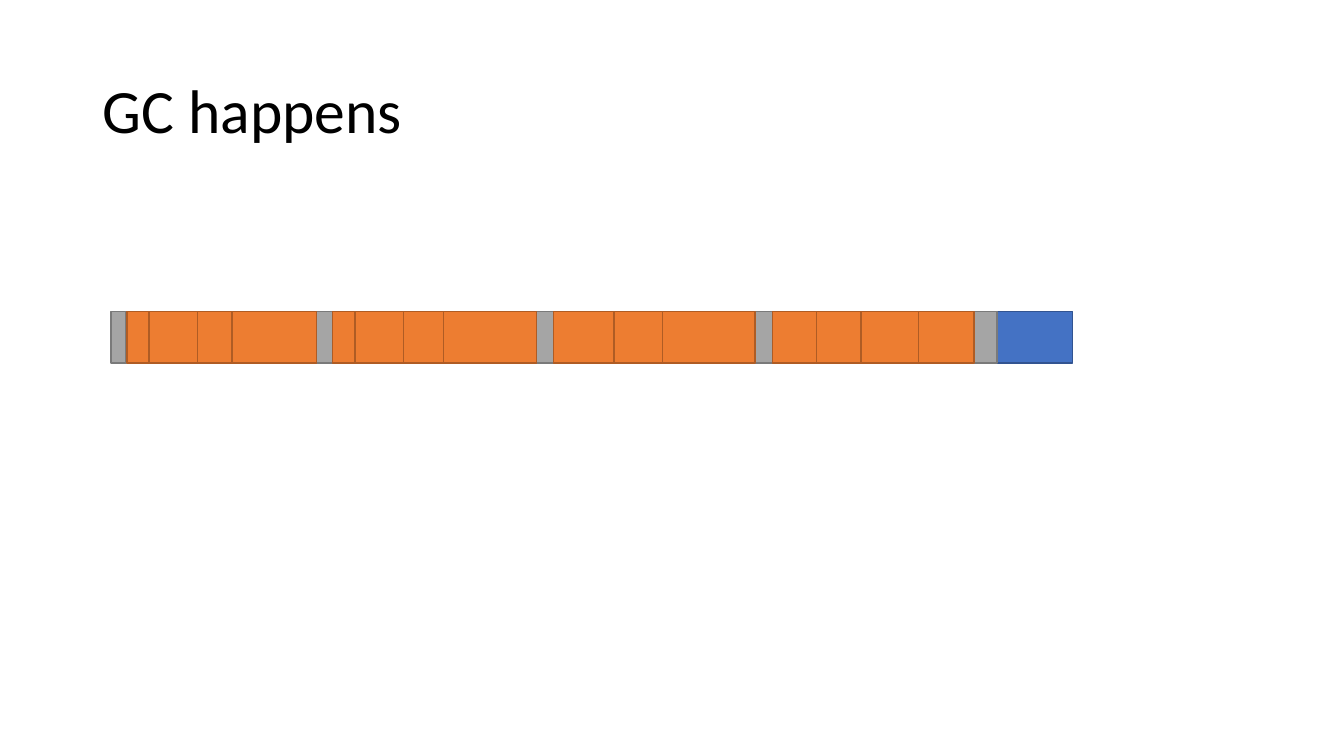
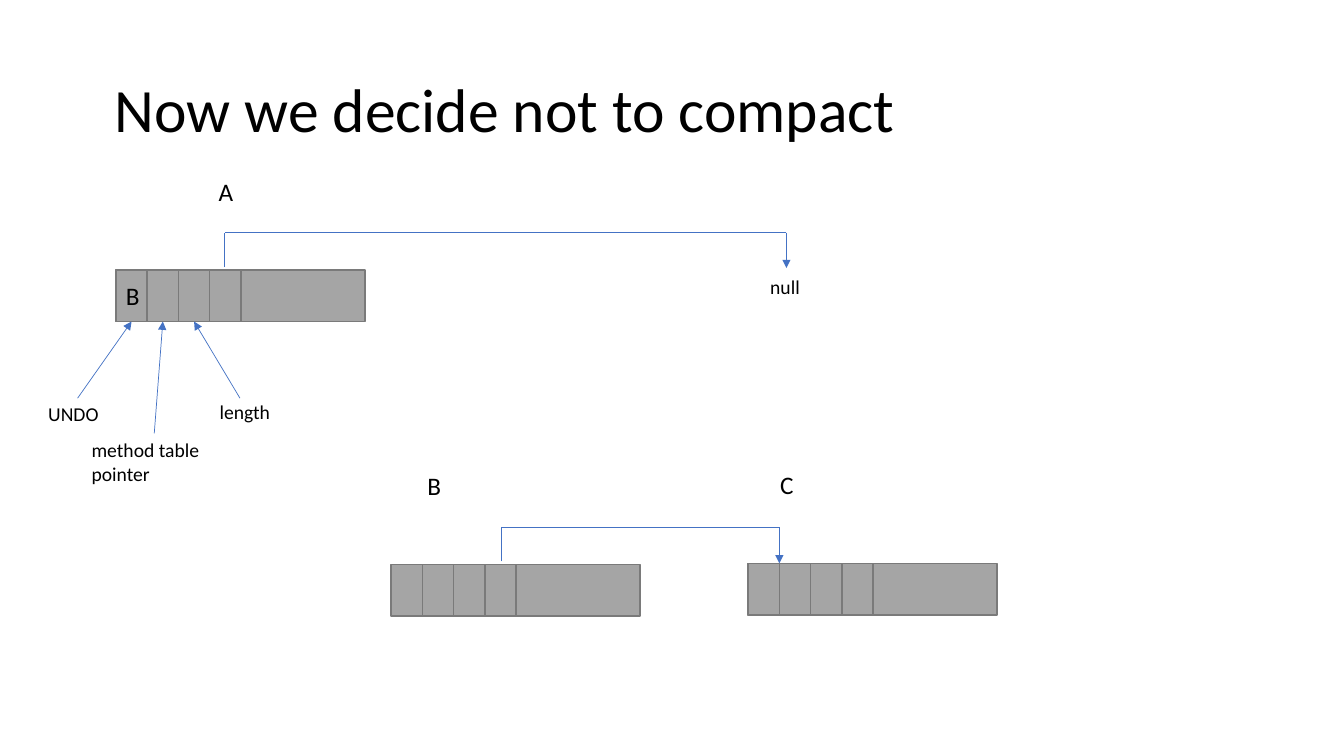
from lxml import etree
from pptx import Presentation
from pptx.dml.color import RGBColor
from pptx.enum.shapes import MSO_CONNECTOR, MSO_SHAPE
from pptx.enum.text import MSO_ANCHOR, MSO_AUTO_SIZE, PP_ALIGN
from pptx.oxml.ns import qn
from pptx.util import Inches, Pt

RECT = MSO_SHAPE.RECTANGLE
STRAIGHT = MSO_CONNECTOR.STRAIGHT
MIDDLE = MSO_ANCHOR.MIDDLE
FIXED = MSO_AUTO_SIZE.NONE
GROW = MSO_AUTO_SIZE.SHAPE_TO_FIT_TEXT
CENTER = PP_ALIGN.CENTER
BOTTOM = 2

COLORS = {
    "text": "000000",
    "blue": "4472C4", "blue_edge": "325491",
    "gray": "A5A5A5", "gray_edge": "7A7A7A",
    "orange": "ED7D31", "orange_edge": "AF5C24",
}
FONT = "Calibri"
BAR_H = 0.51
CELL_W = 0.31


def rgb(name):
    return RGBColor.from_string(COLORS[name])


class Deck:
    def __init__(self):
        self.prs = Presentation()
        self.prs.slide_width = Inches(13.33)
        self.prs.slide_height = Inches(7.5)
        self.s = None

    def slide(self, title, x, y):
        self.s = self.prs.slides.add_slide(self.prs.slide_layouts[6])
        tf = self.text(title, x, y, 11.5, 1.45, 44).text_frame
        tf.auto_size = FIXED
        tf.vertical_anchor = MIDDLE
        tf.paragraphs[0].line_spacing = 0.9

    def set_text(self, tf, text, size):
        tf.text = text
        font = tf.paragraphs[0].runs[0].font
        font.name = FONT
        font.size = Pt(size)
        font.color.rgb = rgb("text")

    def text(self, text, x, y, w, h, size=14):
        sp = self.s.shapes.add_textbox(Inches(x), Inches(y), Inches(w), Inches(h))
        sp.text_frame.word_wrap = True
        sp.text_frame.auto_size = GROW
        self.set_text(sp.text_frame, text, size)
        return sp

    def rect(self, x, y, w, color, text=""):
        sp = self.s.shapes.add_shape(RECT, Inches(x), Inches(y), Inches(w), Inches(BAR_H))
        sp.shadow.inherit = False
        sp.fill.solid()
        sp.fill.fore_color.rgb = rgb(color)
        sp.line.color.rgb = rgb(color + "_edge")
        sp.line.width = Pt(1)
        if text:
            self.set_text(sp.text_frame, text, 18)
            sp.text_frame.vertical_anchor = MIDDLE
            sp.text_frame.paragraphs[0].alignment = CENTER
        return sp

    def line(self, x1, y1, x2, y2, arrow=False):
        cx = self.s.shapes.add_connector(STRAIGHT, Inches(x1), Inches(y1), Inches(x2), Inches(y2))
        cx.line.color.rgb = rgb("blue")
        cx.line.width = Pt(0.5)
        sp_pr = cx.element.spPr
        if arrow:
            etree.SubElement(sp_pr.find(qn("a:ln")), qn("a:tailEnd"), type="triangle")
        etree.SubElement(sp_pr, qn("a:effectLst"))
        return cx

    def route(self, x1, y1, x2, y2, top):
        self.line(x1, y1, x1, top)
        self.line(x2, top, x1, top)
        self.line(x2, top, x2, y2, arrow=True)

    def plug(self, x, y, widths):
        self.rect(x, y, 2.23, "gray")
        for w in widths:
            self.rect(x, y, w, "orange")
            x += w

    def record(self, x, y, first=""):
        self.rect(x, y, 2.47, "gray")
        return [self.rect(x + i * CELL_W, y, CELL_W, "gray", "" if i else first)
                for i in range(4)]


def heap_slide(deck):
    deck.slide("GC happens", 0.92, 0.4)
    y = 3.09
    deck.rect(1.26, y, 9.38, "blue")
    deck.rect(1.1, y, 0.15, "gray")
    plugs = [
        (1.26, (0.22, 0.48, 0.34, 0.84)),
        (3.3, (0.22, 0.48, 0.4, 0.92)),
        (5.49, (0.6, 0.48, 0.92)),
        (7.66, (0.44, 0.44, 0.57, 0.55)),
    ]
    for x, widths in plugs:
        deck.plug(x, y, widths)


def undo_slide(deck):
    deck.slide("Now we decide not to compact", 1.04, 0.39)
    cells = deck.record(1.15, 2.68, "B")
    deck.record(3.88, 5.6)
    deck.record(7.42, 5.59)

    for name, x, y in [("A", 2.07, 1.7), ("B", 4.14, 4.62), ("C", 7.64, 4.61)]:
        deck.text(name, x, y, 0.67, 0.4, 18)

    fields = [
        ("UNDO", 0.38, 3.94, 0.76, 0.34, 0.77, 3.95),
        ("method table pointer", 0.81, 4.3, 1.44, 0.57, 1.53, 4.3),
        ("length", 2.08, 3.92, 0.76, 0.34, 2.38, 3.95),
    ]
    for cell, (label, x, y, w, h, from_x, from_y) in zip(cells, fields):
        deck.text(label, x, y, w, h)
        deck.line(from_x, from_y, from_x, from_y, arrow=True).end_connect(cell, BOTTOM)

    deck.text("null", 7.54, 2.68, 0.59, 0.34)
    deck.route(2.23, 2.65, 7.8, 2.66, top=2.31)
    deck.route(4.97, 5.57, 7.73, 5.59, top=5.23)


def main():
    deck = Deck()
    heap_slide(deck)
    undo_slide(deck)
    deck.prs.save("out.pptx")


if __name__ == "__main__":
    main()
